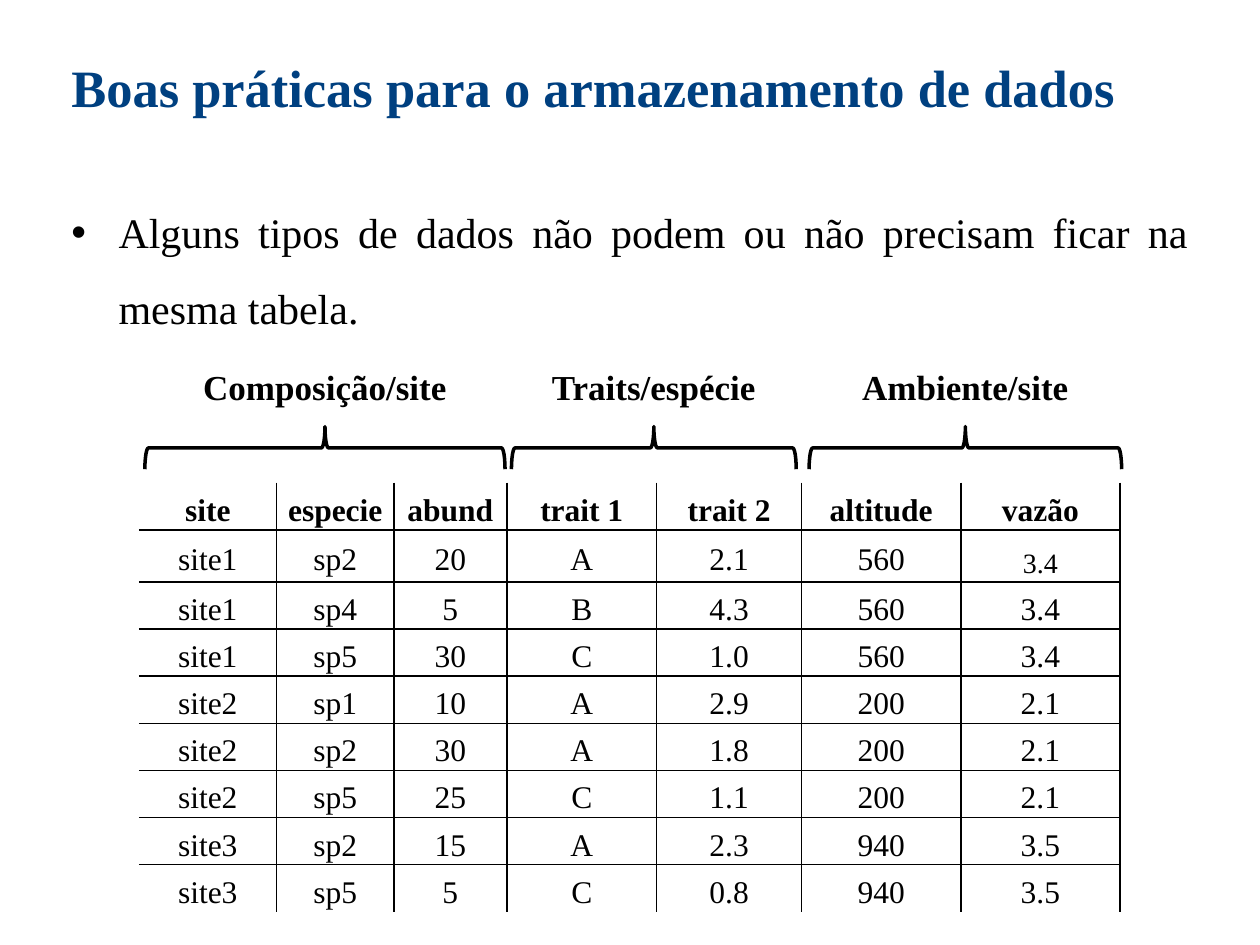
from dataclasses import dataclass

from lxml.etree import SubElement
from pptx import Presentation
from pptx.dml.color import RGBColor
from pptx.enum.shapes import MSO_SHAPE as Shape
from pptx.enum.text import MSO_ANCHOR as Anchor, MSO_AUTO_SIZE as AutoSize, PP_ALIGN as Align
from pptx.oxml.ns import qn
from pptx.util import Cm, Pt

FONT = "Times New Roman"
BLACK = "000000"
NAVY = "004080"


@dataclass
class Group:
    """A brace over neighbouring columns, with its caption; lengths in cm."""
    caption: str
    center: float
    span: float
    caption_width: float


GROUPS = [
    Group("Composição/site", 6.55, 7.26, 5.46),
    Group("Traits/espécie", 13.18, 5.74, 4.65),
    Group("Ambiente/site", 19.46, 6.3, 4.75),
]
CAPTION_TOP, CAPTION_HEIGHT = 7.24, 1.12
BRACE_MIDDLE, BRACE_DEPTH = 9.03, 0.86

COLUMN_WIDTHS = [2.78, 2.36, 2.28, 3.02, 2.92, 3.21, 3.21]
ROW_HEIGHTS = [0.95, 1.05] + [0.95] * 7
RECORDS = [
    ["site", "especie", "abund", "trait 1", "trait 2", "altitude", "vazão"],
    ["site1", "sp2", "20", "A", "2.1", "560", "3.4"],
    ["site1", "sp4", "5", "B", "4.3", "560", "3.4"],
    ["site1", "sp5", "30", "C", "1.0", "560", "3.4"],
    ["site2", "sp1", "10", "A", "2.9", "200", "2.1"],
    ["site2", "sp2", "30", "A", "1.8", "200", "2.1"],
    ["site2", "sp5", "25", "C", "1.1", "200", "2.1"],
    ["site3", "sp2", "15", "A", "2.3", "940", "3.5"],
    ["site3", "sp5", "5", "C", "0.8", "940", "3.5"],
]


def color(value: str) -> RGBColor:
    return RGBColor.from_string(value)


def write(paragraph, text: str, size: float, bold: bool = False, ink: str = BLACK,
          align=Align.CENTER, spacing: float = 1.0) -> None:
    run = paragraph.add_run()
    run.text = text
    for name, value in {"name": FONT, "size": Pt(size), "bold": bold}.items():
        setattr(run.font, name, value)
    run.font.color.rgb = color(ink)
    paragraph.alignment = align
    paragraph.line_spacing = spacing


def add_text(slide, left: float, top: float, width: float, height: float, wrap: bool = True):
    """Add an empty text box and return its first paragraph."""
    frame = slide.shapes.add_textbox(Cm(left), Cm(top), Cm(width), Cm(height)).text_frame
    frame.word_wrap = wrap
    frame.auto_size = AutoSize.SHAPE_TO_FIT_TEXT
    return frame.paragraphs[0]


def add_bullet(paragraph, indent: float) -> None:
    properties = paragraph._p.get_or_add_pPr()
    properties.set("marL", str(Cm(indent)))
    properties.set("indent", str(-Cm(indent)))
    SubElement(properties, qn("a:buFont"), typeface="Arial")
    SubElement(properties, qn("a:buChar"), char="•")


def set_borders(cell, visible: dict[str, bool]) -> None:
    """Draw the visible sides in black and clear the others."""
    properties = cell._tc.get_or_add_tcPr()
    for side, shown in visible.items():
        edge = SubElement(properties, qn(f"a:{side}"), w=str(Pt(1)))
        if shown:
            fill = SubElement(edge, qn("a:solidFill"))
            SubElement(fill, qn("a:srgbClr"), val=BLACK)
        else:
            SubElement(edge, qn("a:noFill"))


def add_records(slide, left: float, top: float) -> None:
    table = slide.shapes.add_table(
        len(RECORDS), len(COLUMN_WIDTHS), Cm(left), Cm(top),
        Cm(sum(COLUMN_WIDTHS)), Cm(sum(ROW_HEIGHTS))).table
    table.first_row = table.horz_banding = False
    for column, width in zip(table.columns, COLUMN_WIDTHS):
        column.width = Cm(width)
    for row, height in zip(table.rows, ROW_HEIGHTS):
        row.height = Cm(height)

    cell_format = {"margin_left": Cm(0.03), "margin_right": Cm(0.03), "margin_top": Cm(0.03),
                   "margin_bottom": Cm(0), "vertical_anchor": Anchor.MIDDLE}
    last_row = len(RECORDS) - 1
    for r, record in enumerate(RECORDS):
        for c, value in enumerate(record):
            cell = table.cell(r, c)
            for name, setting in cell_format.items():
                setattr(cell, name, setting)
            set_borders(cell, {"lnL": c > 0, "lnR": True, "lnT": r > 0, "lnB": r < last_row})
            cell.fill.background()
            first_flow = r == 1 and c == len(record) - 1
            write(cell.text_frame.paragraphs[0], value, 16 if first_flow else 18,
                  bold=r == 0, spacing=1.5 if first_flow else 1.2)


def add_group(slide, group: Group) -> None:
    caption = add_text(slide, group.center - group.caption_width / 2, CAPTION_TOP,
                       group.caption_width, CAPTION_HEIGHT, wrap=False)
    write(caption, group.caption, 20, bold=True)
    brace = slide.shapes.add_shape(
        Shape.LEFT_BRACE, Cm(group.center - BRACE_DEPTH / 2), Cm(BRACE_MIDDLE - group.span / 2),
        Cm(BRACE_DEPTH), Cm(group.span))
    brace.rotation = 90
    brace.shadow.inherit = False
    brace.fill.background()
    brace.line.color.rgb = color(BLACK)
    brace.line.width = Pt(2)


def main() -> None:
    deck = Presentation()
    deck.slide_width, deck.slide_height = Cm(25.4), Cm(19.05)
    slide = deck.slides.add_slide(deck.slide_layouts[6])

    title = add_text(slide, 1.19, 0.36, 23.01, 2.08)
    write(title, "Boas práticas para o armazenamento de dados", 30, bold=True, ink=NAVY,
          align=Align.JUSTIFY, spacing=1.5)
    advice = add_text(slide, 1.19, 3.53, 23.01, 3.25)
    write(advice, "Alguns tipos de dados não podem ou não precisam ficar na mesma tabela.", 24,
          align=Align.JUSTIFY, spacing=1.5)
    add_bullet(advice, 0.95)

    add_records(slide, 2.8, 9.73)
    for group in GROUPS:
        add_group(slide, group)
    deck.save("out.pptx")


if __name__ == "__main__":
    main()
